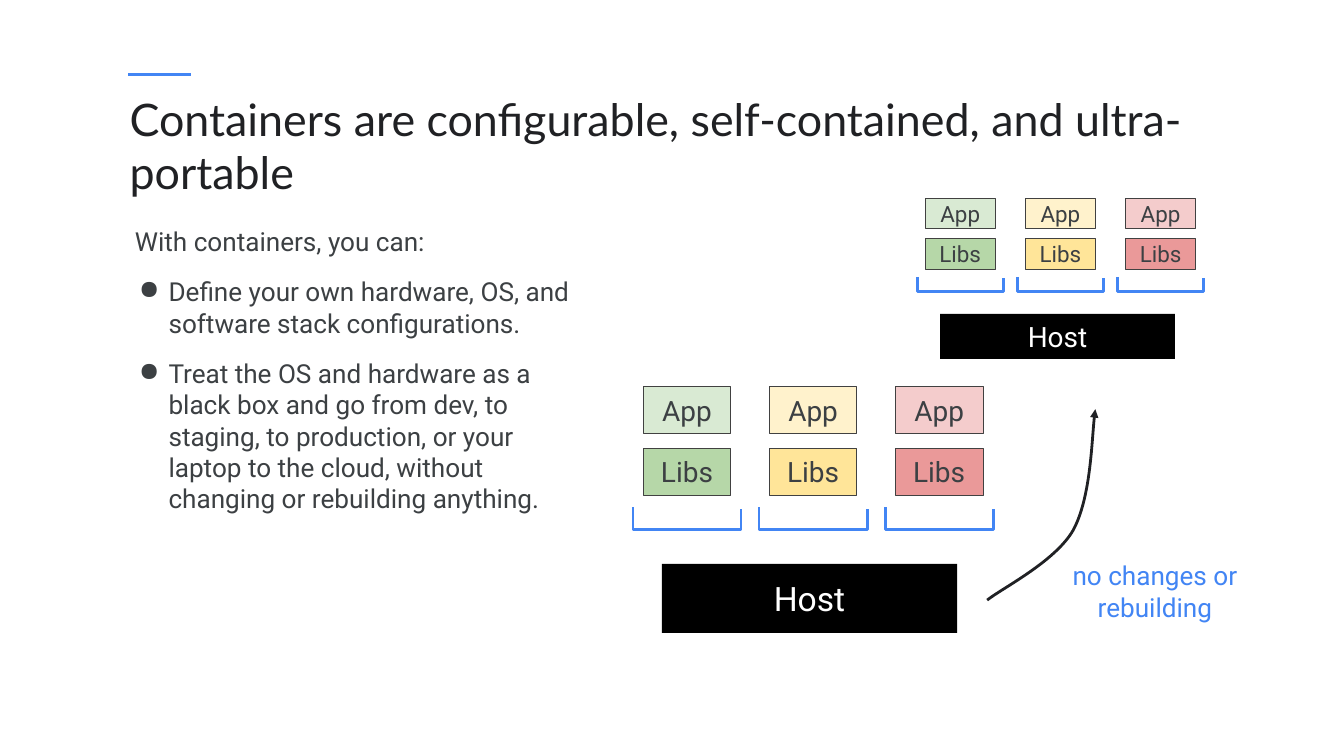
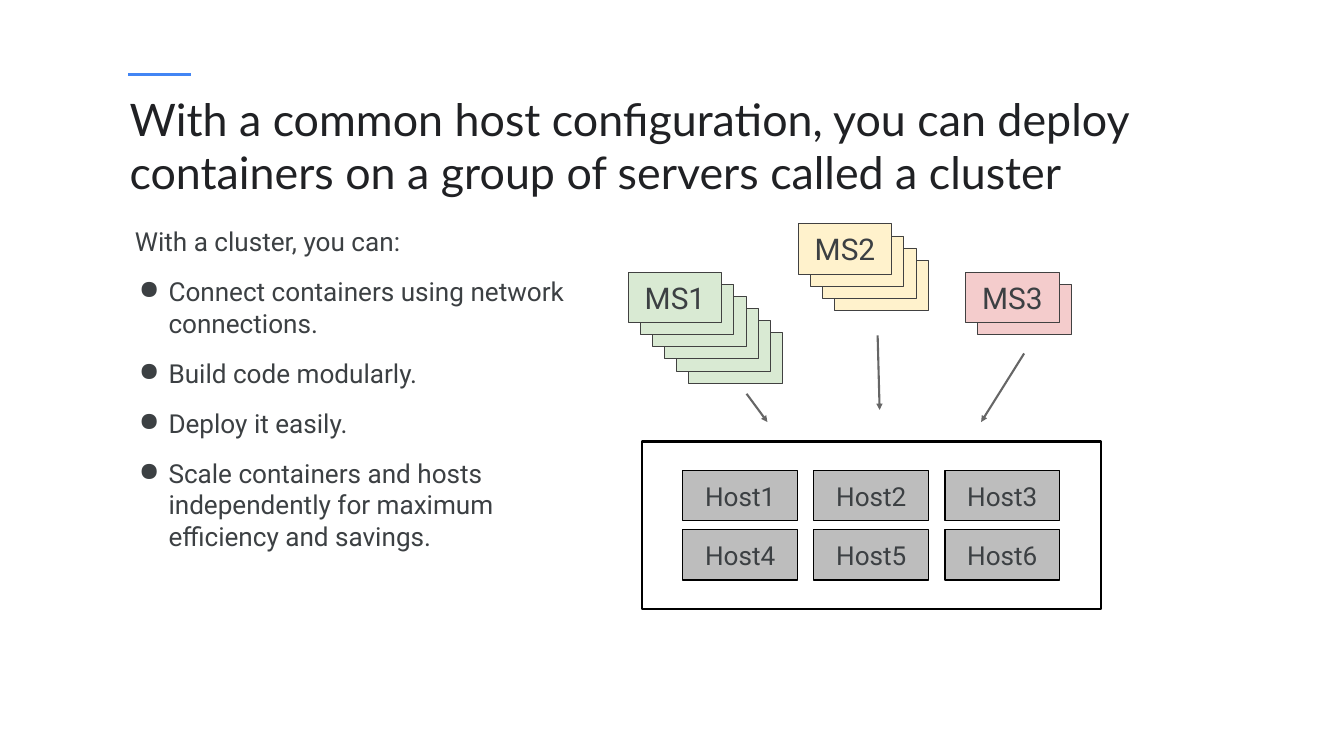
"""Build two slides on containers and clusters."""
from dataclasses import dataclass

import pptx
import pptx.dml.color
import pptx.enum.shapes
import pptx.enum.text
import pptx.oxml.ns
import pptx.util
from lxml import etree

Inches, Pt = pptx.util.Inches, pptx.util.Pt
RGB = pptx.dml.color.RGBColor.from_string
qn = pptx.oxml.ns.qn
SHAPES = pptx.enum.shapes
CENTER = pptx.enum.text.PP_ALIGN.CENTER
MIDDLE = pptx.enum.text.MSO_ANCHOR.MIDDLE


@dataclass(frozen=True)
class Theme:
    """Colours, fonts and type sizes of the deck."""

    title_font: str = "Lato"
    body_font: str = "Roboto"
    title_size: int = 48
    body_size: int = 28
    service_size: int = 32
    accent: str = "4285F4"
    ink: str = "202124"
    text: str = "3C4043"
    outline: str = "414141"
    arrow: str = "666666"
    black: str = "000000"
    white: str = "FFFFFF"
    host: str = "BDBDBD"
    light: tuple = ("D9EAD3", "FFF2CC", "F4CCCC")
    strong: tuple = ("B6D7A8", "FFE599", "EA9999")


T = Theme()


def apply(target, **values):
    """Set each named format value on the target."""
    for name, value in values.items():
        setattr(target, name, value)


def write(p, text, size, color=T.text, font=T.body_font):
    """Add one formatted run to a paragraph."""
    r = p.add_run()
    r.text = text
    apply(r.font, size=Pt(size), name=font)
    r.font.color.rgb = RGB(color)


def set_insets(tf, inset):
    """Give a text frame equal margins and make it wrap."""
    sides = ("left", "top", "right", "bottom")
    apply(tf, word_wrap=True, **{f"margin_{side}": Inches(inset) for side in sides})


def set_line(sp, color, width, arrow=False):
    """Style an outline, with an optional arrowhead at its end."""
    sp.line.color.rgb = RGB(color)
    sp.line.width = Pt(width)
    if arrow:
        ln = sp.element.spPr.get_or_add_ln()
        etree.SubElement(ln, qn("a:tailEnd"), type="triangle")


def add_box(s, box, fill=None, line=(T.outline, 0.75), text="", size=T.body_size,
            color=T.text, inset=0.2):
    """Draw a rectangle with an optional centred label."""
    sp = s.shapes.add_shape(SHAPES.MSO_SHAPE.RECTANGLE, *map(Inches, box))
    sp.shadow.inherit = False
    if fill:
        sp.fill.solid()
        sp.fill.fore_color.rgb = RGB(fill)
    else:
        sp.fill.background()
    if line:
        set_line(sp, *line)
    else:
        sp.line.fill.background()
    if text:
        tf = sp.text_frame
        set_insets(tf, inset)
        tf.vertical_anchor = MIDDLE
        p = tf.paragraphs[0]
        p.alignment = CENTER
        write(p, text, size, color)


def add_line(s, start, end, color, width, arrow=False):
    """Draw a straight connector."""
    sp = s.shapes.add_connector(SHAPES.MSO_CONNECTOR.STRAIGHT, *map(Inches, start + end))
    set_line(sp, color, width, arrow)
    etree.SubElement(sp.element.spPr, qn("a:effectLst"))


def add_outline(s, points, color, arrow=False):
    """Draw an open, unfilled outline through the points."""
    start, *rest = [(Inches(x), Inches(y)) for x, y in points]
    builder = s.shapes.build_freeform(*start, scale=1.0)
    builder.add_line_segments(rest, close=False)
    sp = builder.convert_to_shape()
    sp.shadow.inherit = False
    sp.fill.background()
    set_line(sp, color, 3, arrow)
    return sp


def add_curve(s, points, color):
    """Draw an arrow along cubic curves, three points to each curve."""
    sp = add_outline(s, points, color, arrow=True)
    segments = list(sp.element.iter(qn("a:lnTo")))
    for i in range(0, len(segments), 3):
        curve = etree.Element(qn("a:cubicBezTo"))
        segments[i].addprevious(curve)
        for segment in segments[i:i + 3]:
            curve.append(segment[0])
            segment.getparent().remove(segment)


def add_text(s, box):
    """Add a wrapping text box and return its frame."""
    tf = s.shapes.add_textbox(*map(Inches, box)).text_frame
    set_insets(tf, 0.1)
    return tf


def add_header(s, title, box=(1.83, 1.26, 16.16, 1.25)):
    """Place the accent rule and the title."""
    x, y = box[0] + 0.08, box[1] - 0.15
    add_line(s, (x, y), (x + 0.93, y), T.accent, 3)
    write(add_text(s, box).paragraphs[0], title, T.title_size, T.ink, T.title_font)


def add_body(s, box, lead, bullets):
    """Write a lead line followed by bullets."""
    tf = add_text(s, box)
    write(tf.paragraphs[0], lead, T.body_size)
    for bullet in bullets:
        p = tf.add_paragraph()
        p.space_before = Pt(20)
        pPr = p._p.get_or_add_pPr()
        pPr.set("marL", str(Inches(0.5)))
        pPr.set("indent", str(Inches(-0.44)))
        bu_color = etree.SubElement(pPr, qn("a:buClr"))
        etree.SubElement(bu_color, qn("a:srgbClr"), val=T.text)
        etree.SubElement(pPr, qn("a:buChar"), char="●")
        write(p, bullet, T.body_size)


def add_container_host(s, box, tile_size, host_size):
    """Draw three containers docked above one host, scaled to the box."""
    x, y, w, h = box
    gap = 0.05 * w
    dock_w = (w - 2 * gap) / 3
    tile_w, tile_h = 0.81 * dock_w, 0.19 * h
    dock_top, dock_bottom = y + 0.49 * h, y + 0.58 * h
    for i, fills in enumerate(zip(T.light, T.strong)):
        left = x + i * (dock_w + gap)
        right = left + dock_w
        for row, (label, fill) in enumerate(zip(("App", "Libs"), fills)):
            tile = (left + (dock_w - tile_w) / 2, y + row * 0.25 * h, tile_w, tile_h)
            add_box(s, tile, fill, text=label, size=tile_size)
        add_outline(s, [(left, dock_top), (left, dock_bottom), (right, dock_bottom),
                        (right, dock_top + 0.02)], T.accent)
    add_box(s, (x + 0.08 * w, y + 0.72 * h, 0.82 * w, 0.28 * h), T.black, None,
            "Host", host_size, T.white)


def add_service_stack(s, box, label, count, fill, step=0.18):
    """Draw overlapping copies of a service, with the label in front."""
    x, y, w, h = box
    for i in reversed(range(count)):
        add_box(s, (x + i * step, y + i * step, w, h), fill,
                text="" if i else label, size=T.service_size)


def add_cluster(s, box, columns=3, rows=2):
    """Draw a framed grid of numbered hosts."""
    x, y, w, h = box
    add_box(s, box, line=(T.black, 2.25))
    for i in range(columns * rows):
        row, column = divmod(i, columns)
        add_box(s, (x + 0.6 + column * 1.95, y + 0.43 + row * 0.88, 1.71, 0.75),
                T.host, (T.black, 1.5), f"Host{i + 1}", inset=0.1)


def portable_slide(s):
    """Build the slide on portable containers."""
    add_header(s, "Containers are configurable, self-contained, and ultra-portable")
    add_body(s, (1.91, 3.26, 6.71, 5.83), "With containers, you can:", [
        "Define your own hardware, OS, and software stack configurations.",
        "Treat the OS and hardware as a black box and go from dev, to staging, to "
        "production, or your laptop to the cloud, without changing or rebuilding anything.",
    ])
    add_container_host(s, (9.42, 5.75, 5.36, 3.67), 30, 36)
    add_container_host(s, (13.65, 2.95, 4.26, 2.39), 24, 30)
    add_curve(s, [(14.69, 8.93), (14.9, 8.76), (15.7, 8.36), (15.97, 7.89),
                  (16.23, 7.41), (16.25, 6.39), (16.3, 6.09)], T.ink)
    p = add_text(s, (15.78, 8.23, 2.81, 0.71)).paragraphs[0]
    p.alignment = CENTER
    write(p, "no changes or rebuilding", T.body_size, T.accent)


def cluster_slide(s):
    """Build the slide on clusters."""
    add_header(s, "With a common host configuration, you can deploy containers "
                  "on a group of servers called a cluster")
    add_body(s, (1.91, 3.26, 7.07, 5.39), "With a cluster, you can:", [
        "Connect containers using network connections.",
        "Build code modularly.",
        "Deploy it easily.",
        "Scale containers and hosts independently for maximum efficiency and savings.",
    ])
    services = [
        ((9.35, 4.05), "MS1", 6, (11.11, 5.86), (11.42, 6.28)),
        ((11.88, 3.33), "MS2", 4, (13.06, 4.99), (13.09, 6.1)),
        ((14.37, 4.05), "MS3", 2, (15.24, 5.26), (14.6, 6.28)),
    ]
    for (corner, label, count, start, end), fill in zip(services, T.light):
        add_service_stack(s, corner + (1.39, 0.75), label, count, fill)
        add_line(s, start, end, T.arrow, 2.25, arrow=True)
    add_cluster(s, (9.56, 6.57, 6.83, 2.49))


def main():
    """Create and save the deck."""
    prs = pptx.Presentation()
    apply(prs, slide_width=Inches(20), slide_height=Inches(11.25))
    for build in (portable_slide, cluster_slide):
        build(prs.slides.add_slide(prs.slide_layouts[6]))
    prs.save("out.pptx")


if __name__ == "__main__":
    main()
